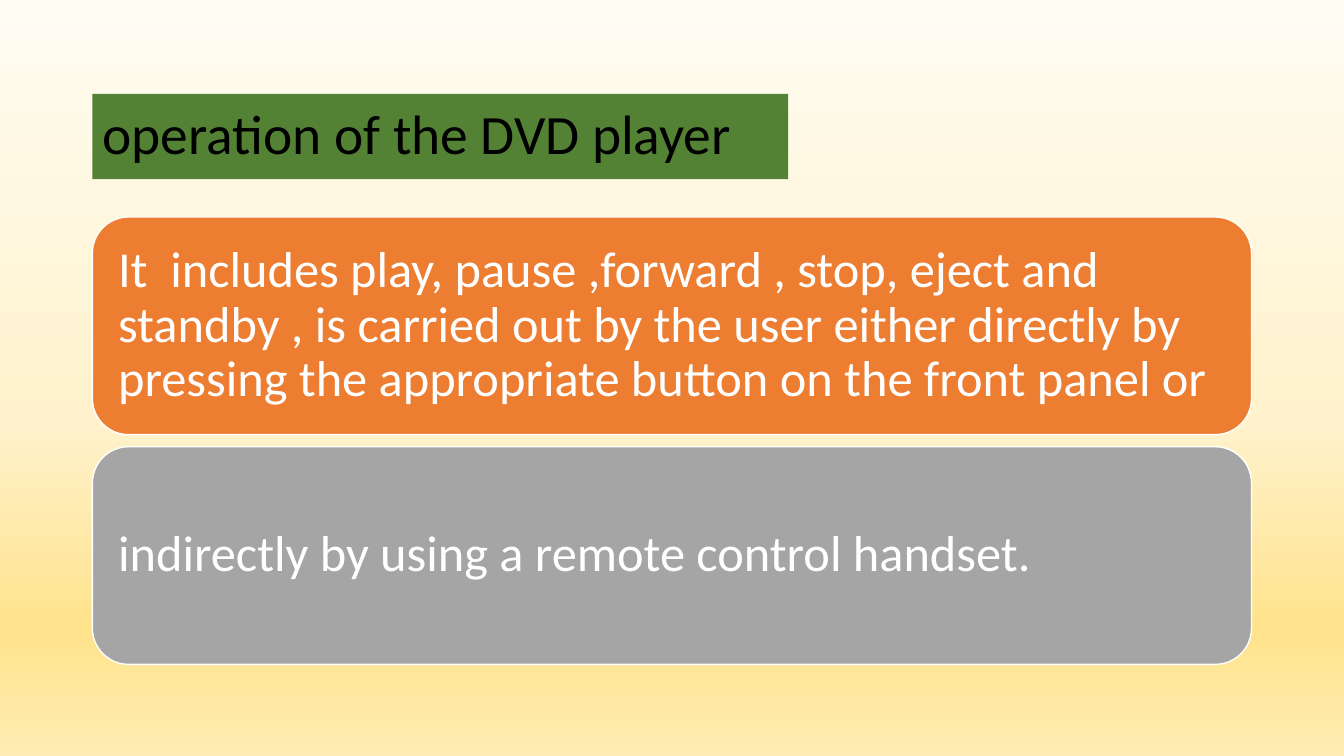
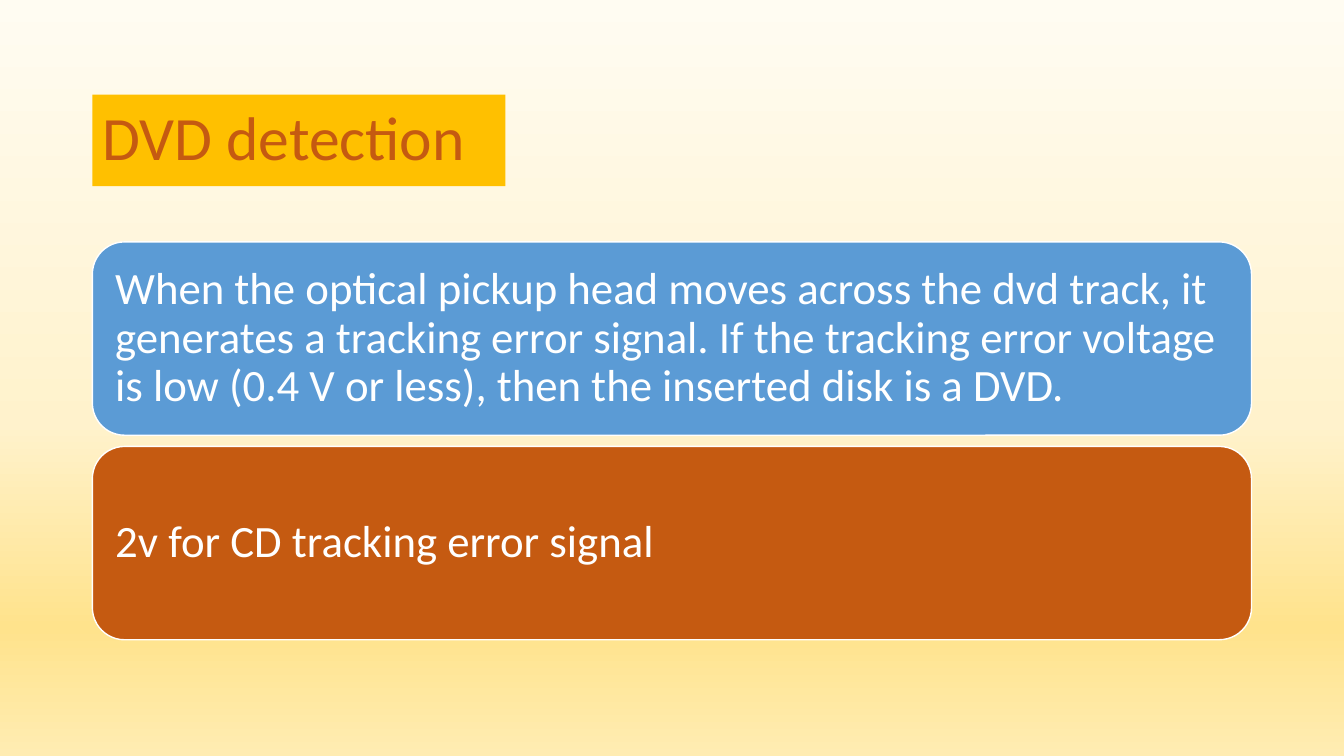
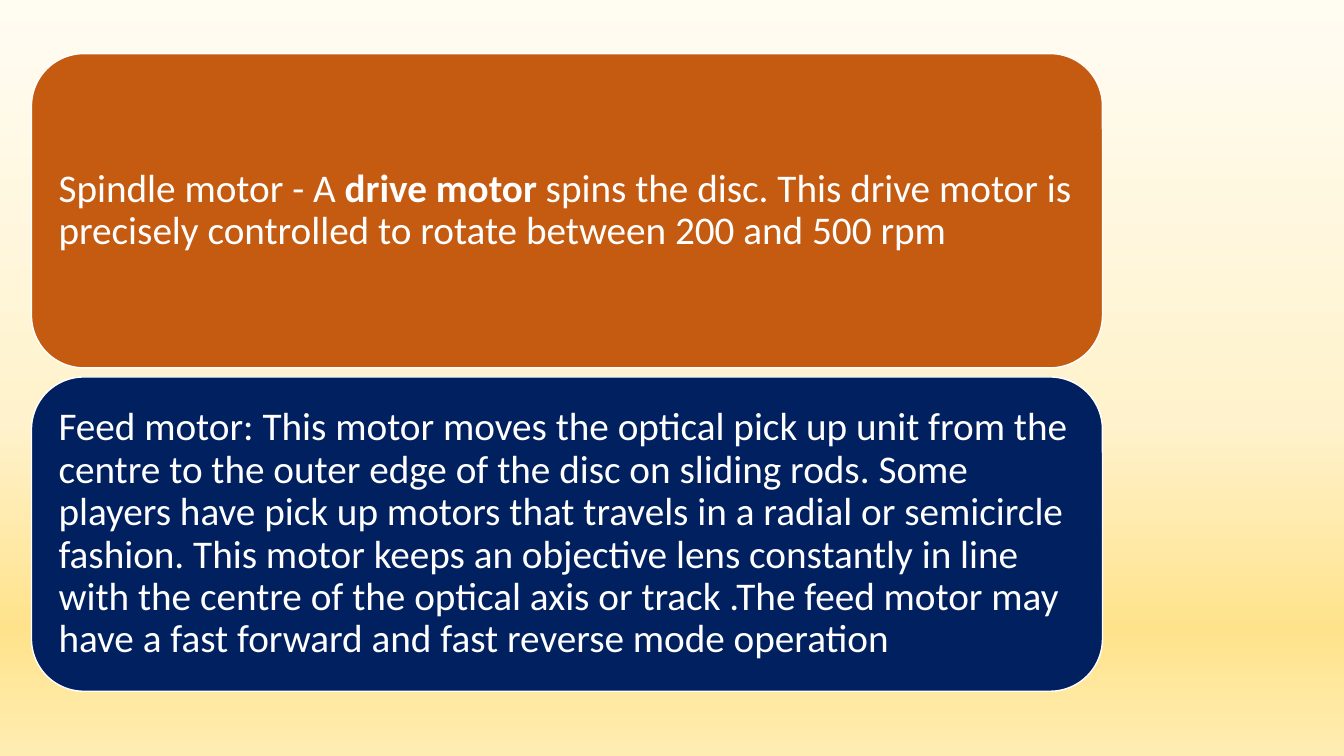
"""Build three slides on how a DVD player works."""
from lxml import etree
from pptx import Presentation
from pptx.dml.color import RGBColor
from pptx.enum.shapes import MSO_SHAPE
from pptx.enum.text import MSO_ANCHOR, MSO_AUTO_SIZE, PP_ALIGN
from pptx.oxml.ns import qn
from pptx.util import Pt

ROUND = MSO_SHAPE.ROUNDED_RECTANGLE
MIDDLE = MSO_ANCHOR.MIDDLE
FIXED = MSO_AUTO_SIZE.NONE
LEFT = PP_ALIGN.LEFT
TITLED, BLANK = 5, 6
FONT = "Calibri"
COLORS = {
    "black": "000000", "white": "FFFFFF", "green": "548235",
    "gold": "FFC000", "orange": "ED7D31", "gray": "A5A5A5",
    "blue": "5B9BD5", "rust": "C55A11", "navy": "002060",
}
STOPS = [(0, "FFFCF2"), (56, "FFF2CC"), (83, "FFE38C"), (100, "FFECB2")]


def color(name):
    return RGBColor.from_string(COLORS[name])


def paint(shape, name):
    shape.fill.solid()
    shape.fill.fore_color.rgb = color(name)


def write(shape, text, size=28, ink="white", inset=None):
    frame = shape.text_frame
    frame.word_wrap = True
    frame.auto_size = FIXED
    frame.vertical_anchor = MIDDLE
    if inset is not None:
        frame.margin_left = frame.margin_right = Pt(inset)
        frame.margin_top = frame.margin_bottom = Pt(inset)
    para = frame.paragraphs[0]
    para.alignment = LEFT
    para.line_spacing = 0.9
    for part, chunk in enumerate(text.split("**")):
        run = para.add_run()
        run.text = chunk
        run.font.name = FONT
        run.font.size = Pt(size)
        run.font.bold = part % 2 == 1
        run.font.color.rgb = color(ink)


def backdrop(master):
    fill = master.background.fill
    fill.gradient()
    fill.gradient_angle = 270
    stops = master.element.find(".//" + qn("a:gsLst"))
    for stop in list(stops):
        stops.remove(stop)
    for place, tone in STOPS:
        stop = etree.SubElement(stops, qn("a:gs"), pos=str(place * 1000))
        etree.SubElement(stop, qn("a:srgbClr"), val=tone)


def heading(slide, box, text, fill, **style):
    title = slide.shapes.title
    title.left, title.top, title.width, title.height = map(Pt, box)
    paint(title, fill)
    write(title, text, **style)


def stack(slide, box, gap, size, cards):
    left, top, width, height = box
    tall = (height - gap * (len(cards) - 1)) / len(cards)
    for row, (fill, text) in enumerate(cards):
        place = (left, top + row * (tall + gap), width, tall)
        card = slide.shapes.add_shape(ROUND, *map(Pt, place))
        card.shadow.inherit = False
        paint(card, fill)
        card.line.color.rgb = color("white")
        card.line.width = Pt(1)
        write(card, text, size=size, inset=size * 0.3)


def main():
    deck = Presentation()
    deck.slide_width, deck.slide_height = Pt(960), Pt(540)
    backdrop(deck.slide_master)
    layouts = deck.slide_layouts

    slide = deck.slides.add_slide(layouts[TITLED])
    heading(slide, (66, 67, 497, 61), "operation of the DVD player", "green",
            size=39.6, ink="black")
    stack(slide, (66, 155, 828, 319.6), 8.6, 36, [
        ("orange", "It  includes play, pause ,forward , stop, eject and "
         "standby , is carried out by the user either directly by pressing "
         "the appropriate button on the front panel or"),
        ("gray", "indirectly by using a remote control handset."),
    ])

    slide = deck.slides.add_slide(layouts[TITLED])
    heading(slide, (66, 67.6, 295, 65.4), "DVD detection", "gold",
            size=44, ink="rust")
    stack(slide, (66, 172.8, 828, 284.2), 8, 32, [
        ("blue", "When the optical pickup head moves across the dvd track, "
         "it generates a tracking error signal. If the tracking error "
         "voltage is low (0.4 V or less), then the inserted disk is a DVD."),
        ("rust", "2v for CD tracking error signal"),
    ])

    slide = deck.slides.add_slide(layouts[BLANK])
    stack(slide, (22.5, 38.3, 765, 455.5), 6.5, 28, [
        ("rust", "Spindle motor - A **drive motor** spins the disc. This "
         "drive motor is precisely controlled to rotate between 200 and "
         "500 rpm"),
        ("navy", "Feed motor: This motor moves the optical pick up unit "
         "from the centre to the outer edge of the disc on sliding rods. "
         "Some players have pick up motors that travels in a radial or "
         "semicircle fashion. This motor keeps an objective lens constantly "
         "in line with the centre of the optical axis or track .The feed "
         "motor may have a fast forward and fast reverse mode operation"),
    ])
    deck.save("out.pptx")


if __name__ == "__main__":
    main()
